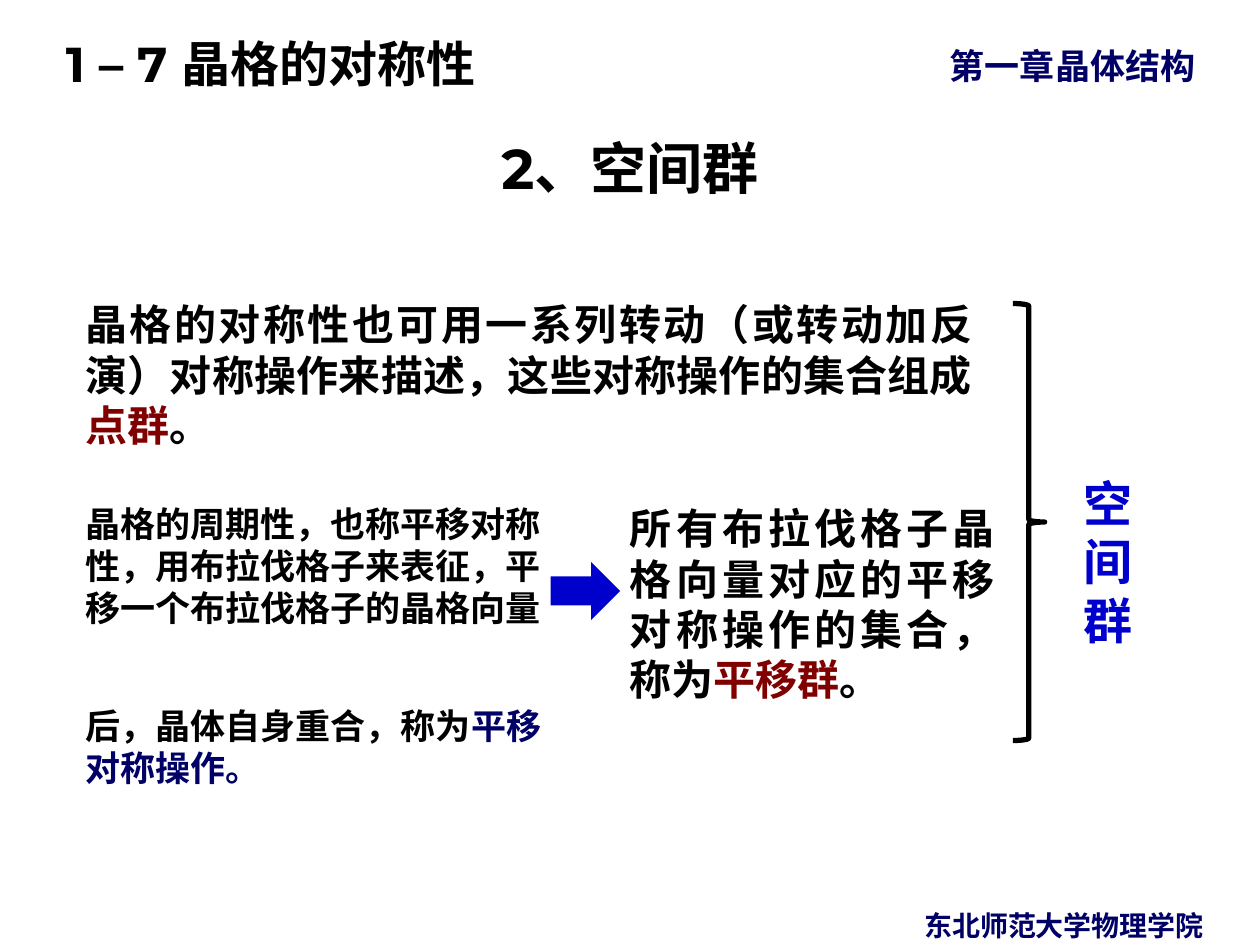
from dataclasses import dataclass
from typing import Optional

from lxml.etree import SubElement
from pptx import Presentation
from pptx.dml.color import RGBColor
from pptx.enum.shapes import MSO_SHAPE
from pptx.enum.text import MSO_ANCHOR, PP_ALIGN
from pptx.oxml.ns import qn
from pptx.util import Cm, Pt


@dataclass(frozen=True)
class Theme:
    black: RGBColor = RGBColor(0x00, 0x00, 0x00)
    navy: RGBColor = RGBColor(0x00, 0x00, 0x66)
    maroon: RGBColor = RGBColor(0x80, 0x00, 0x00)
    blue: RGBColor = RGBColor(0x00, 0x00, 0xCC)
    latin: str = "Montserrat"
    chinese: str = "Noto Sans CJK SC"
    footer: int = 16
    small: int = 20
    body: int = 24
    heading: int = 28
    title: int = 32
    leading: float = 1.2


THEME = Theme()


@dataclass(frozen=True)
class Words:
    text: str
    color: RGBColor = THEME.black


@dataclass(frozen=True)
class Passage:
    left: float
    top: float
    width: float
    height: float
    size: int
    paragraphs: tuple[tuple[Words, ...], ...]
    align: PP_ALIGN = PP_ALIGN.LEFT
    gap: float = 0
    wrap: bool = True
    inset: float = 0.25
    latin: str = THEME.chinese
    anchor: MSO_ANCHOR = MSO_ANCHOR.TOP
    spacing: Optional[float] = None


PASSAGES = (
    Passage(18.9, 0.71, 6.5, 1.09, THEME.small,
            ((Words("第一章晶体结构", THEME.navy),),)),
    Passage(0, 0.3, 20.75, 1.63, THEME.heading,
            ((Words("1 – 7 晶格的对称性"),),),
            inset=1.33, latin=THEME.latin, anchor=MSO_ANCHOR.MIDDLE, spacing=1.25),
    Passage(17.5, 18.14, 7.9, 0.94, THEME.footer,
            ((Words("东北师范大学物理学院", THEME.navy),),), align=PP_ALIGN.CENTER),
    Passage(1.47, 9.93, 10.21, 6.25, THEME.small,
            ((Words("晶格的周期性，也称平移对称性，用布拉伐格子来表征，平移一个布拉伐格子的晶格向量"),),
             (Words("后，晶体自身重合，称为"), Words("平移对称操作。", THEME.navy))),
            gap=43.5),
    Passage(1.47, 5.82, 18.39, 2.31, THEME.body,
            ((Words("晶格的对称性也可用一系列转动（或转动加反演）对称操作来描述，这些对称操作的集合组成"),
              Words("点群", THEME.maroon), Words("。")),),
            align=PP_ALIGN.JUSTIFY),
    Passage(12.45, 9.93, 7.85, 4.37, THEME.body,
            ((Words("所有布拉伐格子晶格向量对应的平移对称操作的集合，称为"),
              Words("平移群", THEME.maroon), Words("。")),),
            align=PP_ALIGN.JUSTIFY),
    Passage(21.59, 9.32, 1.55, 3.86, THEME.heading,
            tuple((Words(character, THEME.blue),) for character in "空间群"),
            wrap=False),
)


def add_words(paragraph, words: Words, size: int, latin: str) -> None:
    run = paragraph.add_run()
    run.text = words.text
    run.font.name = latin
    run.font.size = Pt(size)
    run.font.bold = True
    run.font.color.rgb = words.color
    SubElement(run.font._element, qn("a:ea")).set("typeface", THEME.chinese)


def place(shape, left: float, top: float, width: float, height: float) -> None:
    shape.left, shape.top = Cm(left), Cm(top)
    shape.width, shape.height = Cm(width), Cm(height)


def add_passage(slide, passage: Passage) -> None:
    box = slide.shapes.add_textbox(Cm(passage.left), Cm(passage.top),
                                   Cm(passage.width), Cm(passage.height))
    frame = box.text_frame
    frame.word_wrap = passage.wrap
    frame.vertical_anchor = passage.anchor
    frame.margin_left = Cm(passage.inset)
    if passage.spacing is None:
        frame.margin_top = Cm(0.13) + Pt(passage.size * 0.09)
    for index, content in enumerate(passage.paragraphs):
        paragraph = frame.add_paragraph() if index else frame.paragraphs[0]
        paragraph.alignment = passage.align
        paragraph.line_spacing = passage.spacing or Pt(passage.size * THEME.leading)
        if index:
            paragraph.space_before = Pt(passage.gap)
        for words in content:
            add_words(paragraph, words, passage.size, passage.latin)


def add_title(slide, words: Words) -> None:
    title = slide.shapes.title
    place(title, 1.27, 2.31, 22.86, 1.88)
    title.text_frame.vertical_anchor = MSO_ANCHOR.BOTTOM
    paragraph = title.text_frame.paragraphs[0]
    paragraph.alignment = PP_ALIGN.CENTER
    paragraph.line_spacing = 0.9
    add_words(paragraph, words, THEME.title, THEME.latin)


def add_brace(slide) -> None:
    brace = slide.shapes.add_shape(MSO_SHAPE.RIGHT_BRACE, Cm(20.42), Cm(6.12), Cm(0.64), Cm(8.81))
    brace.shadow.inherit = False
    brace.adjustments[0] = 0.08
    brace.fill.background()
    brace.line.color.rgb = THEME.black
    brace.line.width = Pt(3)


def add_arrow(slide) -> None:
    arrow = slide.shapes.add_shape(MSO_SHAPE.RIGHT_ARROW, Cm(11.1), Cm(11.33), Cm(1.4), Cm(1.17))
    arrow.shadow.inherit = False
    arrow.fill.solid()
    arrow.fill.fore_color.rgb = THEME.blue
    arrow.line.fill.background()


def main() -> None:
    presentation = Presentation()
    presentation.slide_width, presentation.slide_height = Cm(25.4), Cm(19.05)
    slide = presentation.slides.add_slide(presentation.slide_layouts[5])
    add_title(slide, Words("2、空间群"))
    for passage in PASSAGES:
        add_passage(slide, passage)
    add_brace(slide)
    add_arrow(slide)
    presentation.save("out.pptx")


if __name__ == "__main__":
    main()
